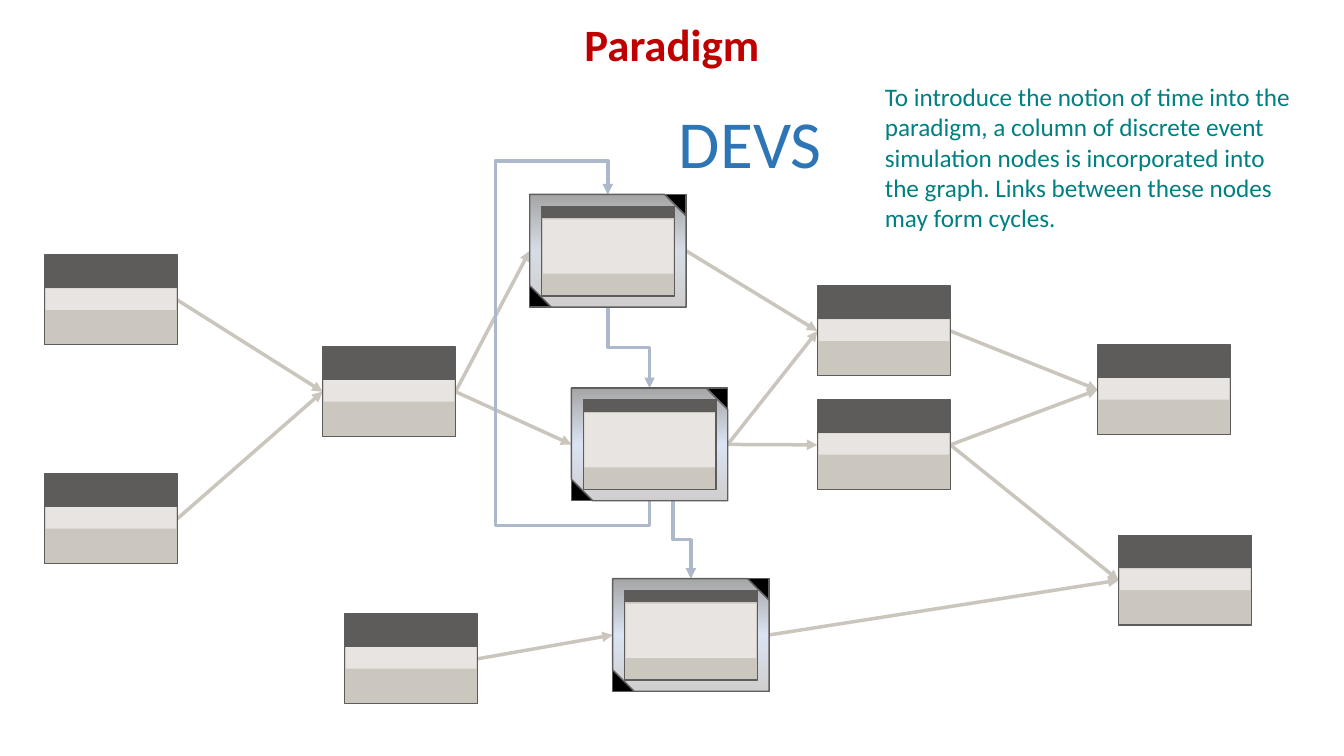
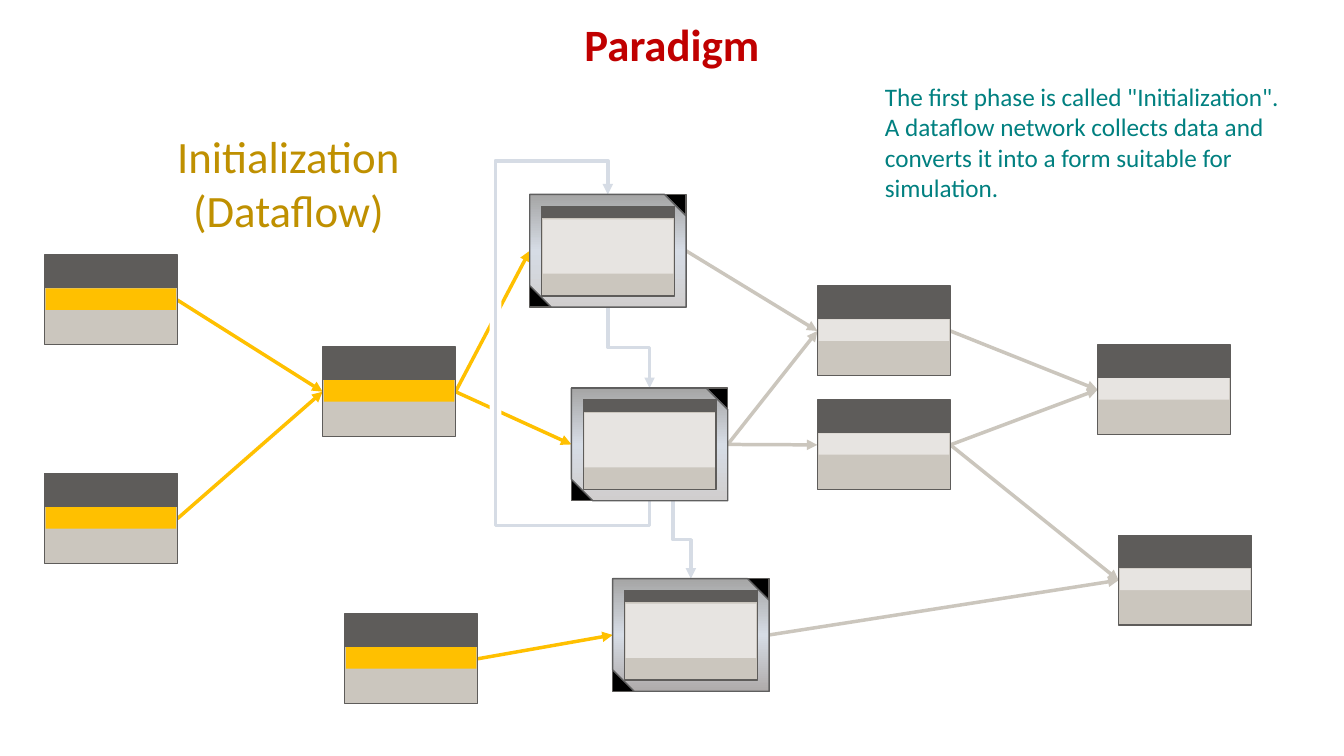
from copy import deepcopy

from lxml import etree
from pptx import Presentation
from pptx.dml.color import RGBColor
from pptx.enum import shapes, text
from pptx.oxml.ns import qn
from pptx.util import Cm, Pt

FONT = "Calibri"
WHITE = RGBColor(0xFF, 0xFF, 0xFF)
BLACK = RGBColor(0x00, 0x00, 0x00)
RED = RGBColor(0xC0, 0x00, 0x00)
TEAL = RGBColor(0x00, 0x80, 0x80)
BLUE = RGBColor(0x2E, 0x75, 0xB6)
GOLD = RGBColor(0xFF, 0xC0, 0x00)
DARK_GOLD = RGBColor(0xBF, 0x90, 0x00)
DARK = RGBColor(0x5E, 0x5C, 0x5A)
FRAME_EDGE = RGBColor(0x5F, 0x5F, 0x5F)
STONE = RGBColor(0xCB, 0xC6, 0xBE)
LIGHT = RGBColor(0xE7, 0xE4, 0xE1)
LINK_GRAY = RGBColor(0xCB, 0xC6, 0xBD)
EVENT_BLUE = RGBColor(0xAD, 0xB9, 0xCA)
FADED_BLUE = RGBColor(0xD6, 0xDC, 0xE5)
ICE_BLUE = RGBColor(0xDA, 0xE3, 0xF3)
SILVER = RGBColor(0xD0, 0xCE, 0xCE)
MID_GRAY = RGBColor(0xAF, 0xAB, 0xAB)
GRAY = RGBColor(0xA5, 0xA5, 0xA5)

# All positions and sizes below are in centimetres.
SLIDE_WIDTH, SLIDE_HEIGHT = 33.87, 19.05
NODE_WIDTH, NODE_HEIGHT, HEADER_HEIGHT = 3.35, 2.26, 0.81
FRAME_WIDTH, FRAME_HEIGHT, FRAME_MARGIN = 3.94, 2.84, 0.3

INPUT_NODES = {
    "source_top": (1.12, 6.43),
    "source_bottom": (1.12, 11.94),
    "merge": (8.13, 8.74),
    "source_late": (8.69, 15.47),
}
OUTPUT_NODES = {
    "collect_top": (20.6, 7.21),
    "collect_bottom": (20.6, 10.08),
    "result_top": (27.66, 8.69),
    "result_bottom": (28.19, 13.49),
}
EVENT_NODES = {
    "event_top": (13.35, 4.9),
    "event_middle": (14.4, 9.78),
    "event_bottom": (15.44, 14.58),
}
LINKS = [
    ("source_top", "merge"),
    ("source_bottom", "merge"),
    ("merge", "event_top"),
    ("merge", "event_middle"),
    ("source_late", "event_bottom"),
    ("event_top", "collect_top"),
    ("event_middle", "collect_top"),
    ("event_middle", "collect_bottom"),
    ("event_bottom", "result_bottom"),
    ("collect_top", "result_top"),
    ("collect_bottom", "result_top"),
    ("collect_bottom", "result_bottom"),
]


def node_box(name):
    if name in EVENT_NODES:
        return (*EVENT_NODES[name], FRAME_WIDTH, FRAME_HEIGHT)
    return (*{**INPUT_NODES, **OUTPUT_NODES}[name], NODE_WIDTH, NODE_HEIGHT)


def anchor(name, across, down):
    """Point of a node at the given fractions of its width and height."""
    left, top, width, height = node_box(name)
    return left + across * width, top + down * height


def write_text(frame, words, *, size, color, bold=False, align=None, spacing=None):
    frame.word_wrap = True
    frame.auto_size = text.MSO_AUTO_SIZE.NONE
    paragraph = frame.paragraphs[0]
    paragraph.alignment = align
    paragraph.line_spacing = spacing
    run = paragraph.add_run()
    run.text = words
    run.font.name = FONT
    run.font.size = Pt(size)
    run.font.bold = bold
    run.font.color.rgb = color


def add_text(slide, box, words, **style):
    frame = slide.shapes.add_textbox(*map(Cm, box)).text_frame
    write_text(frame, words, **style)


def add_title(slide, words):
    title = slide.shapes.title
    title.left, title.top, title.width, title.height = map(Cm, (0, 0.41, SLIDE_WIDTH, 1.5))
    title.text_frame.vertical_anchor = text.MSO_ANCHOR.BOTTOM
    write_text(title.text_frame, words, size=32, color=RED, bold=True,
               align=text.PP_ALIGN.CENTER, spacing=0.9)


def add_block(slide, box, fill=None, edge=None, kind=shapes.MSO_SHAPE.RECTANGLE):
    block = slide.shapes.add_shape(kind, *map(Cm, box))
    block.shadow.inherit = False
    if fill is not None:
        block.fill.solid()
        block.fill.fore_color.rgb = fill
    if edge is None:
        block.line.fill.background()
    else:
        block.line.color.rgb = edge
        block.line.width = Pt(1)
    return block


def add_dataflow_node(slide, name, band):
    left, top, width, height = node_box(name)
    body_top = top + HEADER_HEIGHT
    add_block(slide, (left, body_top, width, height - HEADER_HEIGHT), STONE, DARK)
    add_block(slide, (left + 0.03, body_top + 0.03, width - 0.06, 0.54), band)
    add_block(slide, (left, top, width, HEADER_HEIGHT), DARK, DARK)


def fill_gradient(shape, colors):
    """Fill from bottom to top with three evenly spaced colours."""
    shape.fill.gradient()
    shape.fill.gradient_angle = 90
    stop_list = shape._element.spPr.find(".//" + qn("a:gsLst"))
    stop_list.insert(1, deepcopy(stop_list[0]))
    for index, (stop, color) in enumerate(zip(shape.fill.gradient_stops, colors)):
        stop.position = index / 2
        stop.color.rgb = color


def add_event_node(slide, name, colors):
    box = node_box(name)
    add_block(slide, box, BLACK, DARK)
    frame = add_block(slide, box, edge=FRAME_EDGE,
                      kind=shapes.MSO_SHAPE.SNIP_2_DIAG_RECTANGLE)
    frame.adjustments[0] = 0
    frame.adjustments[1] = 0.191
    fill_gradient(frame, colors)
    left, top = box[0] + FRAME_MARGIN, box[1] + FRAME_MARGIN
    add_block(slide, (left, top, NODE_WIDTH, NODE_HEIGHT), STONE, DARK)
    add_block(slide, (left + 0.03, top + 0.33, NODE_WIDTH - 0.06, 1.37), LIGHT)
    add_block(slide, (left, top, NODE_WIDTH, 0.28), DARK, DARK)


def add_arrow(slide, start, end, color, kind=shapes.MSO_CONNECTOR.STRAIGHT):
    arrow = slide.shapes.add_connector(kind, *map(Cm, (*start, *end)))
    arrow.line.color.rgb = color
    arrow.line.width = Pt(2.5)
    etree.SubElement(arrow.line._get_or_add_ln(), qn("a:tailEnd"), type="triangle")
    etree.SubElement(arrow._element.spPr, qn("a:effectLst"))
    return arrow


def add_elbow(slide, start, end, color, bends=(0.5,)):
    """Arrow that leaves and arrives vertically; bends are fractions of its box."""
    (x1, y1), (x2, y2) = start, end
    center_x, center_y = (x1 + x2) / 2, (y1 + y2) / 2
    half_length, half_width = abs(y2 - y1) / 2, abs(x2 - x1) / 2
    arrow = add_arrow(slide, (center_x - half_length, center_y - half_width),
                      (center_x + half_length, center_y + half_width),
                      color, shapes.MSO_CONNECTOR.ELBOW)
    properties = arrow._element.spPr
    transform = properties.find(qn("a:xfrm"))
    transform.set("rot", str((270 if y2 > y1 else 90) * 60000))
    transform.set("flipH", "1")
    geometry = properties.find(qn("a:prstGeom"))
    geometry.set("prst", f"bentConnector{len(bends) + 2}")
    guides = geometry.find(qn("a:avLst"))
    for number, bend in enumerate(bends, 1):
        etree.SubElement(guides, qn("a:gd"), name=f"adj{number}",
                         fmla=f"val {round(bend * 100000)}")


def add_event_arrows(slide, color):
    add_elbow(slide, anchor("event_top", 0.5, 1), anchor("event_middle", 0.5, 0), color)
    add_elbow(slide, anchor("event_middle", 0.65, 1), anchor("event_bottom", 0.5, 0), color)
    add_elbow(slide, anchor("event_middle", 0.5, 1), anchor("event_top", 0.5, 0), color,
              bends=(-0.08, 3.7, 1.11))


def add_graph(slide, *, input_link, input_band, event_color, gradients, gap=None):
    """Draw the whole network; gap is a box that interrupts the links."""
    for start, end in LINKS:
        color = input_link if start in INPUT_NODES else LINK_GRAY
        add_arrow(slide, anchor(start, 1, 0.5), anchor(end, 0, 0.5), color)
    for nodes, band in ((INPUT_NODES, input_band), (OUTPUT_NODES, LIGHT)):
        for name in nodes:
            add_dataflow_node(slide, name, band)
    if gap:
        add_block(slide, gap, WHITE)
    add_event_arrows(slide, event_color)
    for name, colors in zip(EVENT_NODES, gradients):
        add_event_node(slide, name, colors)


def add_paradigm_slide(presentation, label, label_style, caption, caption_width, graph):
    slide = presentation.slides.add_slide(presentation.slide_layouts[5])
    add_title(slide, "Paradigm")
    add_graph(slide, **graph)
    label_words, label_box = label
    add_text(slide, label_box, label_words, align=text.PP_ALIGN.CENTER, **label_style)
    add_text(slide, (22.05, 1.93, caption_width, 4.11), caption, size=18, color=TEAL)


def main():
    presentation = Presentation()
    presentation.slide_width = Cm(SLIDE_WIDTH)
    presentation.slide_height = Cm(SLIDE_HEIGHT)

    plain = (SILVER, FADED_BLUE, GRAY)
    icy = (SILVER, ICE_BLUE, GRAY)
    dim = (MID_GRAY, FADED_BLUE, GRAY)
    add_paradigm_slide(
        presentation,
        ("DEVS", (15.52, 2.44, 6.78, 2.31)), dict(size=48, color=BLUE),
        "To introduce the notion of time into the paradigm, a column of discrete event "
        "simulation nodes is incorporated into the graph. Links between these nodes may "
        "form cycles.", 11,
        dict(input_link=LINK_GRAY, input_band=LIGHT, event_color=EVENT_BLUE,
             gradients=(plain, icy, icy)))
    add_paradigm_slide(
        presentation,
        ("Initialization (Dataflow)", (3.18, 3.12, 8.18, 3)), dict(size=32, color=DARK_GOLD),
        'The first phase is called "Initialization". A dataflow network collects data and '
        "converts it into a form suitable for simulation.", 10.59,
        dict(input_link=GOLD, input_band=GOLD, event_color=FADED_BLUE,
             gradients=(plain, plain, dim), gap=(12.34, 6.15, 0.3, 5.36)))
    presentation.save("out.pptx")


if __name__ == "__main__":
    main()
